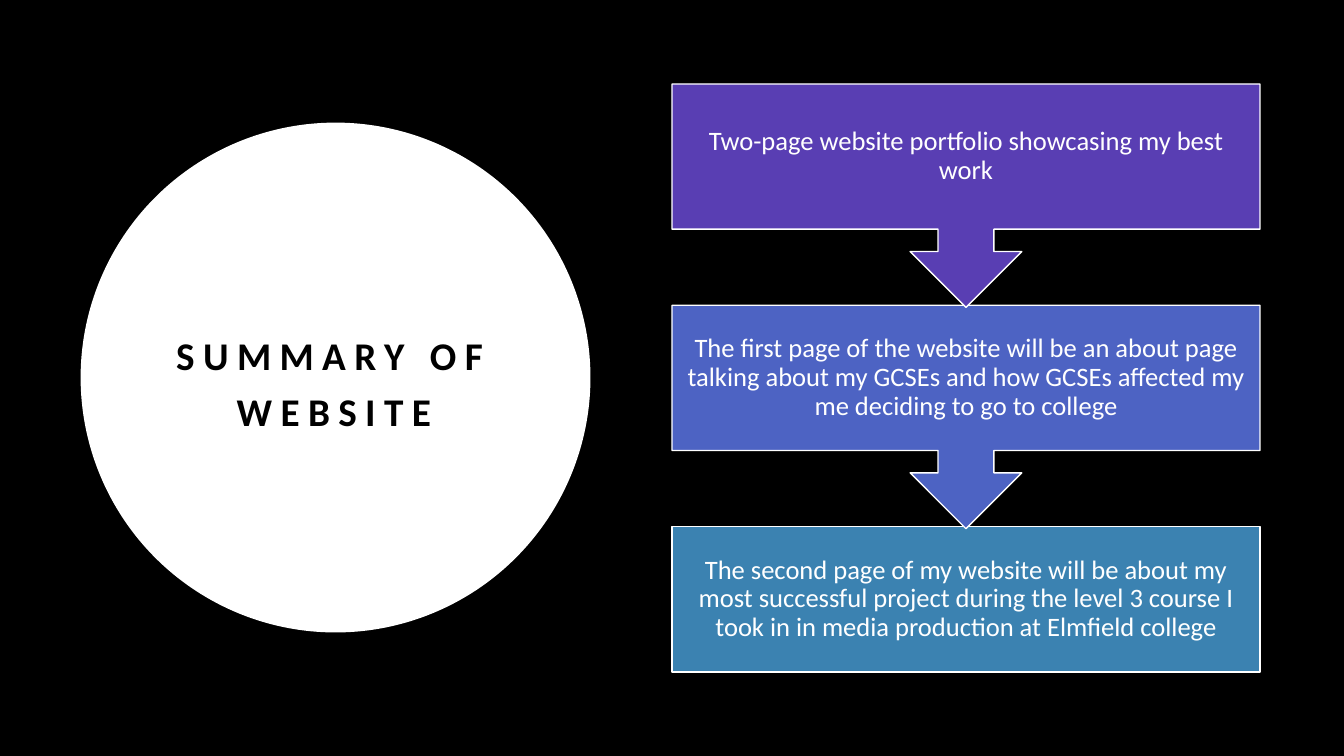
from pptx import Presentation
from pptx import util as u
from pptx.dml.color import RGBColor
from pptx.enum import shapes, text

COLORS = {"black": "000000", "white": "FFFFFF", "violet": "593EB3",
          "indigo": "4D63C3", "teal": "3B82B1"}
CELL = 7.5 / 9


class Deck:
    """Slide on a 16 by 9 grid, with one style for its shapes and text."""

    font = "Calibri"

    def __init__(self):
        self.prs = Presentation()
        self.prs.slide_width, self.prs.slide_height = u.Inches(16 * CELL), u.Inches(9 * CELL)
        self.s = self.prs.slides.add_slide(self.prs.slide_layouts[5])
        self.paint(self.s.background.fill, "black")

    def paint(self, fill, color):
        fill.solid()
        fill.fore_color.rgb = RGBColor.from_string(COLORS[color])

    def grid(self, *cells):
        return [u.Inches(c * CELL) for c in cells]

    def shape(self, kind, cells, color, line=None):
        sp = self.s.shapes.add_shape(kind, *self.grid(*cells))
        sp.shadow.inherit = False
        self.paint(sp.fill, color)
        if line:
            self.paint(sp.line.fill, line)
            sp.line.width = u.Pt(1)
        else:
            sp.line.fill.background()
        return sp

    def label(self, sp, words, size, color, spacing, inset, bold=False):
        tf = sp.text_frame
        tf.word_wrap = True
        tf.auto_size = text.MSO_AUTO_SIZE.NONE
        tf.vertical_anchor = text.MSO_ANCHOR.MIDDLE
        tf.margin_left = tf.margin_right = tf.margin_top = tf.margin_bottom = u.Inches(inset)
        p = tf.paragraphs[0]
        p.alignment, p.line_spacing = text.PP_ALIGN.CENTER, spacing
        r = p.add_run()
        r.text = words
        r.font.name, r.font.size, r.font.bold = self.font, u.Pt(size), bold
        self.paint(r.font.fill, color)
        return r

    def title(self, words, cells):
        sp = self.s.shapes.title
        sp.left, sp.top, sp.width, sp.height = self.grid(*cells)
        self.s.shapes.element.append(sp.element)
        r = self.label(sp, words, 28, "black", 1.2, 0.1, bold=True)
        r.font._element.set("spc", "600")

    def step(self, kind, words, cells, color):
        sp = self.shape(kind, cells, color, line="white")
        self.label(sp, words, 19, "white", 0.9, 0.15)


deck = Deck()
deck.shape(shapes.MSO_SHAPE.OVAL, (0.96, 1.46, 6.07, 6.07), "white")
deck.title("SUMMARY OF WEBSITE", (1.58, 3, 4.79, 3))

BOX, CALLOUT = 1.73, 2.66
STEPS = [
    ("Two-page website portfolio showcasing my best work", "violet"),
    ("The first page of the website will be an about page talking about my GCSEs "
     "and how GCSEs affected my me deciding to go to college", "indigo"),
    ("The second page of my website will be about my most successful project during "
     "the level 3 course I took in in media production at Elmfield college", "teal"),
]
last = len(STEPS) - 1
pitch = (7 - BOX) / last
for i, (words, color) in reversed(list(enumerate(STEPS))):
    kind, height = ((shapes.MSO_SHAPE.RECTANGLE, BOX) if i == last
                    else (shapes.MSO_SHAPE.DOWN_ARROW_CALLOUT, CALLOUT))
    deck.step(kind, words, (8, 1 + i * pitch, 7, height), color)

deck.prs.save("out.pptx")
